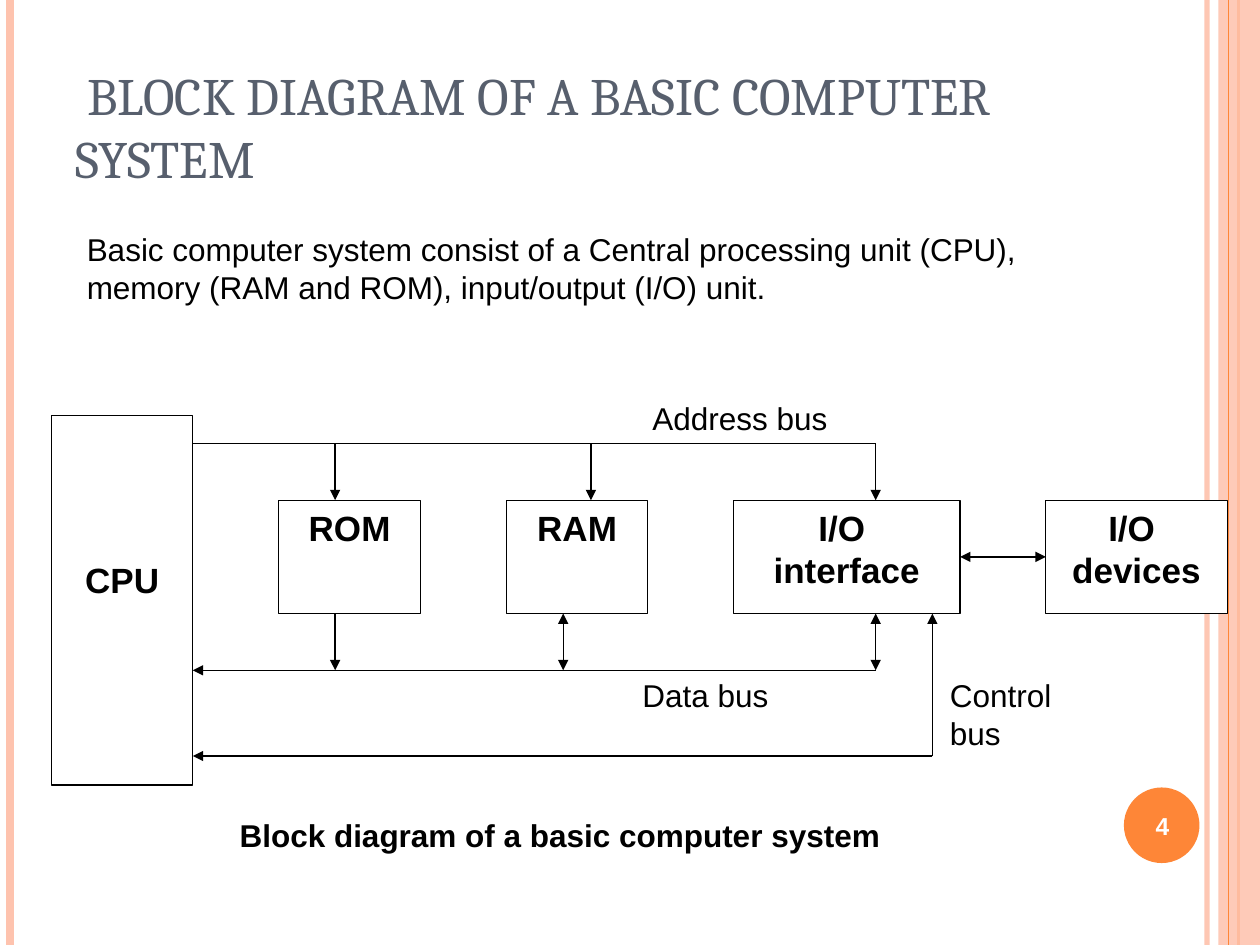
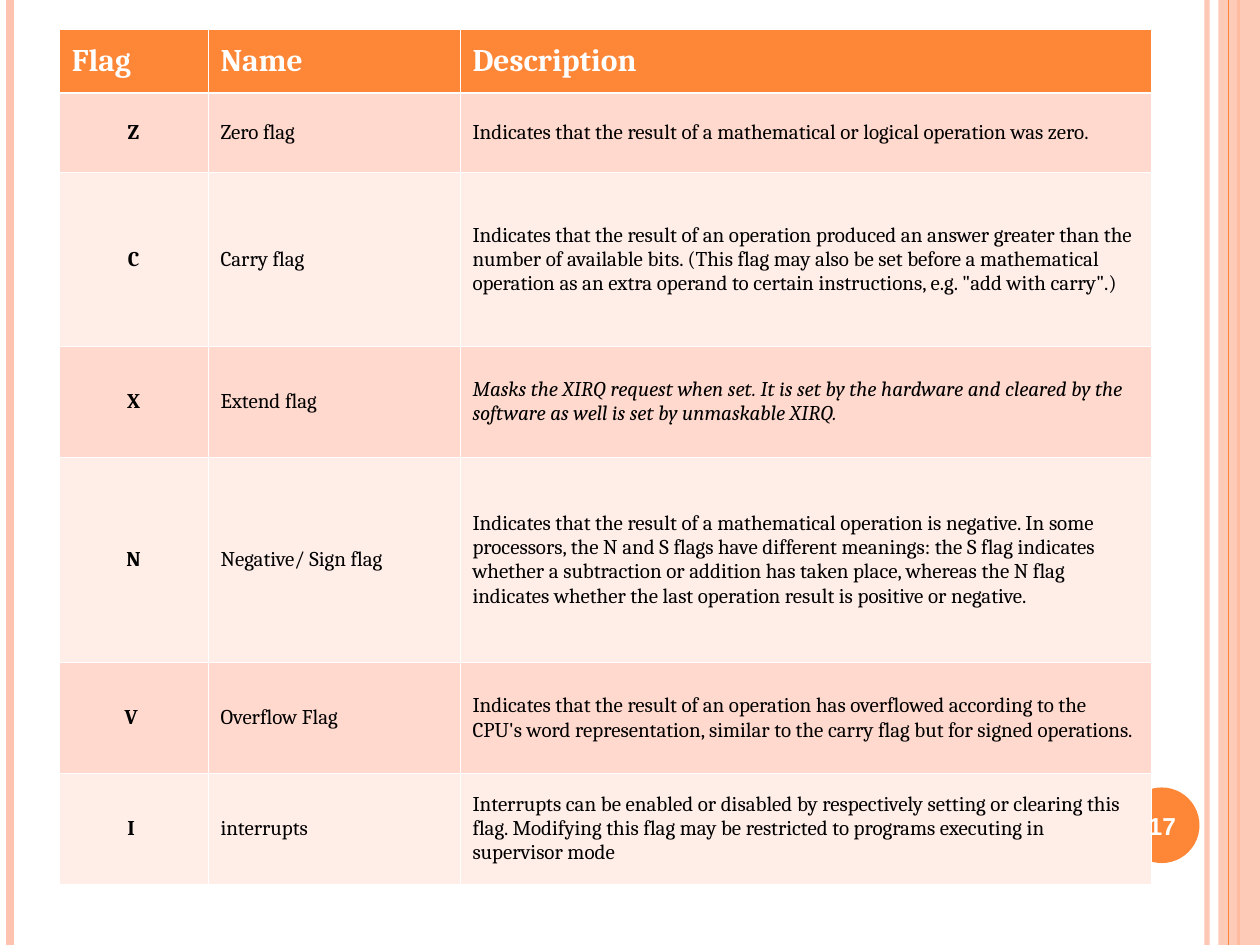
from dataclasses import dataclass

from lxml import etree
from pptx import Presentation
from pptx.dml.color import RGBColor
from pptx.enum.shapes import MSO_CONNECTOR, MSO_SHAPE
from pptx.enum.text import MSO_ANCHOR, MSO_AUTO_SIZE, PP_ALIGN
from pptx.oxml.ns import qn
from pptx.util import Inches, Pt

STRAIGHT = MSO_CONNECTOR.STRAIGHT
RECTANGLE, ELLIPSE = MSO_SHAPE.RECTANGLE, MSO_SHAPE.OVAL
PROCESS = MSO_SHAPE.FLOWCHART_PROCESS
TOP, MIDDLE, BOTTOM = MSO_ANCHOR.TOP, MSO_ANCHOR.MIDDLE, MSO_ANCHOR.BOTTOM
LEFT, CENTER = PP_ALIGN.LEFT, PP_ALIGN.CENTER
NO_AUTOFIT = MSO_AUTO_SIZE.NONE
LEFT_SIDE, RIGHT_SIDE = 1, 3
TITLE_ONLY, BLANK = 5, 6


@dataclass(frozen=True)
class Theme:
    orange: str = "FE8637"
    peach: str = "FEC3AE"
    slate: str = "575F6D"
    black: str = "000000"
    white: str = "FFFFFF"
    row_fills: tuple = ("FFD9CE", "FFEDE8")
    serif: str = "Cambria"
    sans: str = "Arial"
    title_size: int = 30
    block_size: int = 20
    text_size: int = 18
    number_size: int = 14
    cell_size: int = 12
    rule: float = 0.75


THEME = Theme()


def rgb(value):
    return RGBColor.from_string(value)


def apply_format(target, values):
    for name, value in values.items():
        setattr(target, name, value)


def set_alpha(parent, percent):
    color = parent.find(".//" + qn("a:srgbClr"))
    etree.SubElement(color, qn("a:alpha"), val=str(percent * 1000))


class Deck:
    """Holds the theme and the slide being built."""

    def __init__(self, theme):
        self.theme = theme
        self.prs = Presentation()
        self.prs.slide_width, self.prs.slide_height = Inches(10), Inches(7.5)
        self.slide = None

    def new_slide(self, layout):
        self.slide = self.prs.slides.add_slide(self.prs.slide_layouts[layout])
        self.frame()

    def frame(self):
        """Side bands and the disc behind the page number."""
        t = self.theme
        self.band_line(9.58, t.peach, 3, alpha=93)
        self.band_line(0.08, t.peach, 4.5)
        self.band_line(9.83, t.orange, 1.5)
        band = self.shape(RECTANGLE, (9.67, 0, 0.33, 7.5), t.peach)
        set_alpha(band.fill._xPr, 87)
        self.band_line(9.75, t.orange, t.rule)
        self.shape(ELLIPSE, (8.92, 6.25, 0.6, 0.6), t.orange)

    def band_line(self, x, color, width, alpha=None):
        line = self.line((x, 0), (x, 7.5), color=color, width=width)
        if alpha:
            set_alpha(line.line._ln, alpha)

    def line(self, start, end, heads="", color=None, width=None):
        """Straight line; heads may name "start" and "end"."""
        connector = self.slide.shapes.add_connector(
            STRAIGHT, *(Inches(v) for v in (*start, *end)))
        connector.line.color.rgb = rgb(color or self.theme.black)
        connector.line.width = Pt(width or self.theme.rule)
        ln = connector.line._ln
        for place, tag in (("start", "a:headEnd"), ("end", "a:tailEnd")):
            if place in heads:
                etree.SubElement(ln, qn(tag), type="triangle")
        etree.SubElement(ln.getparent(), qn("a:effectLst"))
        return connector

    def shape(self, kind, box, fill, outline=None):
        shape = self.slide.shapes.add_shape(kind, *(Inches(v) for v in box))
        shape.shadow.inherit = False
        shape.fill.solid()
        shape.fill.fore_color.rgb = rgb(fill)
        if outline:
            shape.line.color.rgb = rgb(outline)
            shape.line.width = Pt(self.theme.rule)
        else:
            shape.line.fill.background()
        return shape

    def put_text(self, frame, text, size, font=None, color=None, align=LEFT,
                 bold=False, italic=False):
        """Fill a text frame, one paragraph for each line of text."""
        t = self.theme
        for i, words in enumerate(text.split("\n")):
            paragraph = frame.add_paragraph() if i else frame.paragraphs[0]
            paragraph.alignment = align
            run = paragraph.add_run()
            run.text = words
            apply_format(run.font, {"name": font or t.sans, "size": Pt(size),
                                    "bold": bold, "italic": italic})
            run.font.color.rgb = rgb(color or t.black)

    def title(self, text, box):
        title = self.slide.shapes.title
        apply_format(title, dict(zip(("left", "top", "width", "height"),
                                     (Inches(v) for v in box))))
        apply_format(title.text_frame, {"vertical_anchor": BOTTOM, "word_wrap": True,
                                        "auto_size": NO_AUTOFIT})
        self.put_text(title.text_frame, text, self.theme.title_size,
                      font=self.theme.serif, color=self.theme.slate)

    def text(self, text, box, size=None, anchor=TOP, **style):
        frame = self.slide.shapes.add_textbox(*(Inches(v) for v in box)).text_frame
        apply_format(frame, {"word_wrap": True, "vertical_anchor": anchor})
        self.put_text(frame, text, size or self.theme.text_size, **style)

    def block(self, text, box, kind=RECTANGLE, anchor=TOP, bottom=0.05):
        t = self.theme
        block = self.shape(kind, box, t.white, t.black)
        apply_format(block.text_frame, {"vertical_anchor": anchor, "word_wrap": True,
                                        "margin_bottom": Inches(bottom)})
        self.put_text(block.text_frame, text, t.block_size, align=CENTER, bold=True)
        return block

    def page_number(self, number):
        self.text(str(number), (8.89, 6.27, 0.67, 0.57), self.theme.number_size,
                  MIDDLE, color=self.theme.white, align=CENTER, bold=True)

    def cell_borders(self, cell, widths):
        properties = cell._tc.get_or_add_tcPr()
        for side, width in widths.items():
            ln = etree.SubElement(properties, qn("a:ln" + side), w=str(Pt(width)))
            fill = etree.SubElement(ln, qn("a:solidFill"))
            etree.SubElement(fill, qn("a:srgbClr"), val=self.theme.white)

    def table(self, rows, origin, widths, heights, italic_cells=()):
        t = self.theme
        size = (sum(widths), sum(heights))
        table = self.slide.shapes.add_table(
            len(rows), len(widths), *(Inches(v) for v in (*origin, *size))).table
        table.horz_banding = False
        for column, width in zip(table.columns, widths):
            column.width = Inches(width)
        for r, (words, height) in enumerate(zip(rows, heights)):
            table.rows[r].height = Inches(height)
            header = r == 0
            for c, text in enumerate(words):
                cell = table.cell(r, c)
                self.cell_borders(cell, {"L": 0.45, "R": 0.45,
                                         "T": 1.47 if r == 1 else 0.45,
                                         "B": 1.47 if header else 0.45})
                cell.fill.solid()
                cell.fill.fore_color.rgb = rgb(
                    t.orange if header else t.row_fills[(r - 1) % 2])
                cell.vertical_anchor = MIDDLE
                self.put_text(cell.text_frame, text,
                              t.text_size if header else t.cell_size, font=t.serif,
                              color=t.white if header else t.black,
                              align=CENTER if c == 0 and not header else LEFT,
                              bold=header or c == 0, italic=(r, c) in italic_cells)


def block_diagram(deck):
    deck.new_slide(TITLE_ONLY)
    deck.title(" BLOCK DIAGRAM OF A BASIC COMPUTER SYSTEM", (0.5, 0.3, 8.17, 1.25))
    deck.text("Basic computer system consist of a Central processing unit (CPU), "
              "memory (RAM and ROM), input/output (I/O) unit.", (0.59, 1.78, 7.95, 0.7))

    # Units
    unit_top, unit_height = 3.97, 0.9
    unit_bottom = unit_top + unit_height
    cpu_right = 1.53
    deck.block("CPU", (0.41, 3.3, 1.12, 2.93), PROCESS, MIDDLE, bottom=0.38)
    units = [deck.block(name, (left, unit_top, width, unit_height))
             for name, left, width in (("ROM", 2.21, 1.13), ("RAM", 4.02, 1.12),
                                       ("I/O \ninterface", 5.82, 1.8),
                                       ("I/O \ndevices", 8.3, 1.44))]
    interface, devices = units[2:]

    # Address bus
    address_y, bus_end = 3.52, 6.95
    deck.line((cpu_right, address_y), (bus_end, address_y))
    for x in (2.66, 4.69, bus_end):
        deck.line((x, address_y), (x, unit_top), "end")

    # Data bus
    data_y = 5.32
    deck.line((bus_end, data_y), (cpu_right, data_y), "end")
    for x, heads in ((2.66, "end"), (4.47, "start end"), (bus_end, "start end")):
        deck.line((x, unit_bottom), (x, data_y), heads)

    # Control bus
    control_x, control_y = 7.4, 6
    for end in ((cpu_right, control_y), (control_x, unit_bottom)):
        deck.line((control_x, control_y), end, "end")

    # Interface to devices
    device_link = deck.line((7.62, 4.42), (8.3, 4.42), "start end")
    device_link.begin_connect(interface, RIGHT_SIDE)
    device_link.end_connect(devices, LEFT_SIDE)

    # Labels
    deck.text("Address bus", (5.08, 3.12, 1.65, 0.4))
    deck.text("Data bus", (5, data_y, 1.65, 0.4))
    deck.text("Control bus", (7.44, data_y, 1.1, 0.7))
    deck.text("Block diagram of a basic computer system", (0.43, 6.43, 8.03, 0.4),
              align=CENTER, bold=True)
    deck.page_number(4)


def flag_table(deck):
    deck.new_slide(BLANK)
    flags = [
        ("Flag", "Name", "Description"),
        ("Z", "Zero flag",
         "Indicates that the result of a mathematical or logical operation was zero."),
        ("C", "Carry flag",
         "Indicates that the result of an operation produced an answer greater than "
         "the number of available bits. (This flag may also be set before a "
         "mathematical operation as an extra operand to certain instructions, "
         'e.g. "add with carry".)'),
        ("X", "Extend flag",
         "Masks the XIRQ request when set. It is set by the hardware and cleared by "
         "the software as well is set by unmaskable XIRQ."),
        ("N", "Negative/ Sign flag",
         "Indicates that the result of a mathematical operation is negative. In some "
         "processors, the N and S flags have different meanings: the S flag indicates "
         "whether a subtraction or addition has taken place, whereas the N flag "
         "indicates whether the last operation result is positive or negative."),
        ("V ", "Overflow Flag",
         "Indicates that the result of an operation has overflowed according to the "
         "CPU's word representation, similar to the carry flag but for signed "
         "operations."),
        ("I ", "interrupts",
         "Interrupts can be enabled or disabled by respectively setting or clearing "
         "this flag. Modifying this flag may be restricted to programs executing in "
         "supervisor mode"),
    ]
    deck.table(flags, (0.47, 0.23), (1.18, 2, 5.49),
               (0.51, 0.63, 1.38, 0.88, 1.63, 0.88, 0.88), italic_cells={(3, 2)})
    deck.page_number(17)


def main():
    deck = Deck(THEME)
    block_diagram(deck)
    flag_table(deck)
    deck.prs.save("out.pptx")


if __name__ == "__main__":
    main()
